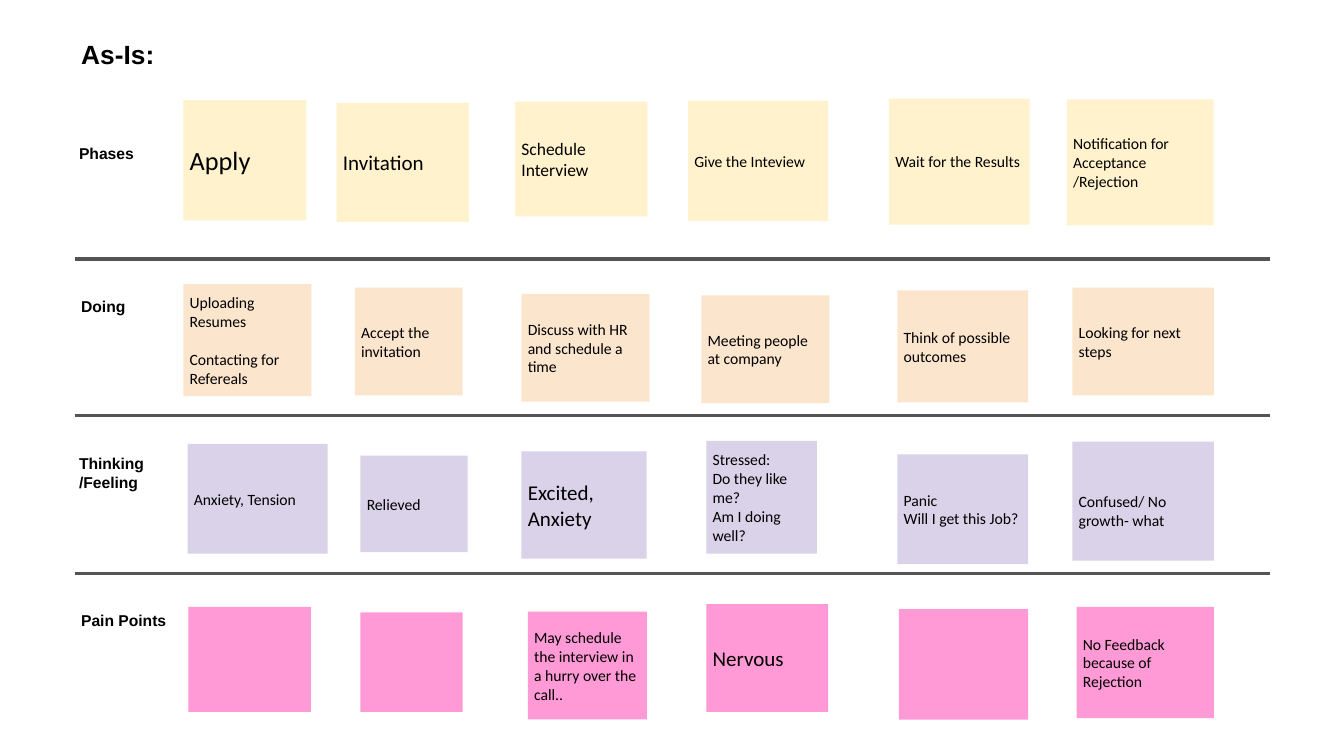
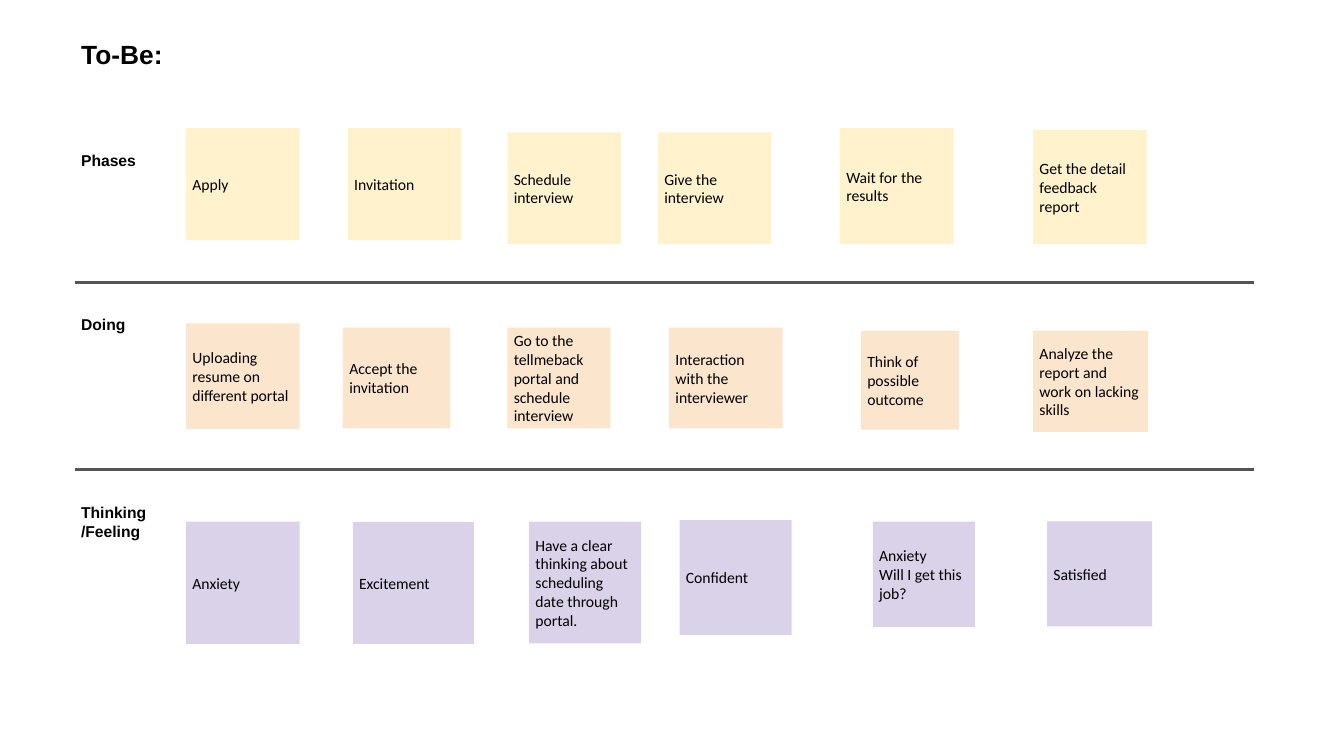
from pptx import Presentation
from pptx.dml.color import RGBColor
from pptx.enum.shapes import MSO_CONNECTOR, MSO_SHAPE
from pptx.enum.text import MSO_ANCHOR
from pptx.oxml.ns import qn
from pptx.util import Pt
from lxml.etree import SubElement

BLACK, RULE_GRAY = "000000", "545454"
LABEL_FONT, NOTE_FONT = "Arial", "Calibri"
TITLE_SIZE, BODY_SIZE = 18.8, 11.2
LEFT_EDGE, INSET, BLANK_LINE = 53.5, 4.5, 13.5
ROW_COLORS = {
    "Phases": "FFF2CC",
    "Doing": "FCE5CD",
    "Thinking\n/Feeling": "D9D2E9",
    "Pain Points": "FF9AD7",
}

AS_IS = {
    "title": ("As-Is:", 23),
    "rules": (907, [185, 297, 409.5]),
    "rows": [
        ("Phases", 52, 98, [
            (131, 71.5, 88, 86, "Apply", {"size": 18.8}),
            (240.5, 73.5, 94.5, 85, "Invitation", {"size": 15}),
            (368, 72.5, 94.5, 82, "Schedule Interview", {"size": 12.5}),
            (491.5, 72, 100, 86, "Give the Inteview", {}),
            (635, 70.5, 100.5, 90, "Wait for the Results", {}),
            (762, 71, 105, 90, "Notification for Acceptance /Rejection", {}),
        ]),
        ("Doing", LEFT_EDGE, 207.5, [
            (131, 203, 91.5, 80, "Uploading Resumes\nContacting for Refereals",
             {"gap": BLANK_LINE}),
            (253.5, 205.5, 77, 77, "Accept the invitation", {}),
            (372.5, 210, 91.5, 77, "Discuss with HR and schedule a time", {}),
            (501, 211, 91.5, 77, "Meeting people at company", {}),
            (641, 207.5, 93.5, 80, "Think of possible outcomes", {}),
            (766, 205.5, 101, 77, "Looking for next steps", {}),
        ]),
        ("Thinking\n/Feeling", 52, 319.5, [
            (134, 317, 100, 78.5, "Anxiety, Tension", {}),
            (257.5, 325.5, 76.5, 69, "Relieved", {}),
            (372.5, 322.5, 89.5, 76.5, "Excited,\nAnxiety", {"size": 15}),
            (504.5, 315, 79, 80.5, "Stressed:\nDo they like me?\nAm I doing well?", {}),
            (641, 324.5, 93.5, 78.5, "Panic\nWill I get this Job?", {}),
            (766, 315.5, 101, 85, "Confused/ No growth- what",
             {"top_inset": INSET + BLANK_LINE}),
        ]),
        ("Pain Points", LEFT_EDGE, 432, [
            (134.5, 433.5, 87.5, 75, "", {}),
            (257.5, 437.5, 73, 71, "", {}),
            (377, 437, 85, 77, "May schedule the interview in a hurry over the call..", {}),
            (504.5, 431.5, 87, 77, "Nervous", {"size": 15}),
            (642, 435, 92.5, 79, "", {}),
            (769, 433.5, 98, 79.5, "No Feedback because of Rejection", {}),
        ]),
    ],
}

TO_BE = {
    "title": ("To-Be:", 22.5),
    "rules": (895.5, [201.5, 335.5]),
    "rows": [
        ("Phases", LEFT_EDGE, 103.5, [
            (133, 91.5, 81, 80, "Apply", {}),
            (248.5, 91.5, 81, 80, "Invitation", {}),
            (362.5, 94.5, 81, 80, "Schedule\ninterview", {}),
            (470, 94.5, 81, 80, "Give the interview", {}),
            (600, 91.5, 81, 83, "Wait for the results", {}),
            (738, 93, 81, 81.5, "Get the detail feedback report", {}),
        ]),
        ("Doing", LEFT_EDGE, 220.5, [
            (133, 231, 81, 75.5, "Uploading resume on different portal", {}),
            (245, 234, 76.5, 72, "Accept the invitation", {}),
            (362.5, 234, 73.5, 72, "Go to the tellmeback portal and schedule interview", {}),
            (478, 234, 81, 72, "Interaction with the interviewer", {}),
            (615, 236.5, 70, 70.5, "Think of possible outcome", {}),
            (738, 236.5, 82, 72, "Analyze the report and work on lacking skills", {}),
        ]),
        ("Thinking\n/Feeling", LEFT_EDGE, 354.5, [
            (133, 372.5, 81, 87.5, "Anxiety", {}),
            (252, 373, 86.5, 87, "Excitement", {}),
            (378, 372.5, 80, 87, "Have a clear thinking about scheduling date through portal.", {}),
            (485.5, 371.5, 80, 82, "Confident", {}),
            (623.5, 372.5, 73, 75.5, "Anxiety\nWill I get this job?", {}),
            (748, 372.5, 75, 75, "Satisfied", {}),
        ]),
    ],
}


def color(value):
    """Turn a hex string into a colour."""
    return RGBColor.from_string(value)


def write_text(shape, text, *, font, size=BODY_SIZE, bold=False,
               anchor=MSO_ANCHOR.TOP, gap=0, top_inset=INSET):
    """Fill a shape with one paragraph per line of text."""
    frame = shape.text_frame
    frame.word_wrap = True
    frame.vertical_anchor = anchor
    frame.margin_left = frame.margin_right = frame.margin_bottom = Pt(INSET)
    frame.margin_top = Pt(top_inset)
    for index, line in enumerate(text.split("\n")):
        para = frame.add_paragraph() if index else frame.paragraphs[0]
        if index:
            para.space_before = Pt(gap)
        span = para.add_run()
        span.text = line
        span.font.name = font
        span.font.size = Pt(size)
        span.font.bold = bold
        span.font.color.rgb = color(BLACK)


def add_label(page, text, left, top, width=100, height=23, size=BODY_SIZE):
    """Add a bold heading."""
    box = page.shapes.add_textbox(Pt(left), Pt(top), Pt(width), Pt(height))
    write_text(box, text, font=LABEL_FONT, size=size, bold=True)


def add_note(page, fill, left, top, width, height, text, text_format):
    """Add a sticky note, left empty when it has no text."""
    note = page.shapes.add_shape(
        MSO_SHAPE.RECTANGLE, Pt(left), Pt(top), Pt(width), Pt(height))
    note.shadow.inherit = False
    note.fill.solid()
    note.fill.fore_color.rgb = color(fill)
    note.line.fill.background()
    if text:
        write_text(note, text, font=NOTE_FONT, anchor=MSO_ANCHOR.MIDDLE, **text_format)
        for para in note.text_frame.paragraphs:
            para.alignment = 1


def add_rule(page, right, top):
    """Add a horizontal line between two rows."""
    rule = page.shapes.add_connector(
        MSO_CONNECTOR.STRAIGHT, Pt(LEFT_EDGE), Pt(top), Pt(right), Pt(top))
    rule.line.color.rgb = color(RULE_GRAY)
    rule.line.width = Pt(2.25)
    SubElement(rule._element.spPr, qn("a:effectLst"))


def add_journey(deck, journey):
    """Add a slide with a title, rules and rows of notes."""
    page = deck.slides.add_slide(deck.slide_layouts[6])
    title, title_top = journey["title"]
    add_label(page, title, LEFT_EDGE, title_top, width=842.5, height=30, size=TITLE_SIZE)
    right, rule_tops = journey["rules"]
    for top in rule_tops:
        add_rule(page, right, top)
    for label, left, top, notes in journey["rows"]:
        add_label(page, label, left, top)
        for note in notes:
            add_note(page, ROW_COLORS[label], *note)


def main():
    """Build and save the deck."""
    deck = Presentation()
    deck.slide_width, deck.slide_height = Pt(960), Pt(540)
    for journey in (AS_IS, TO_BE):
        add_journey(deck, journey)
    deck.save("out.pptx")


if __name__ == "__main__":
    main()
